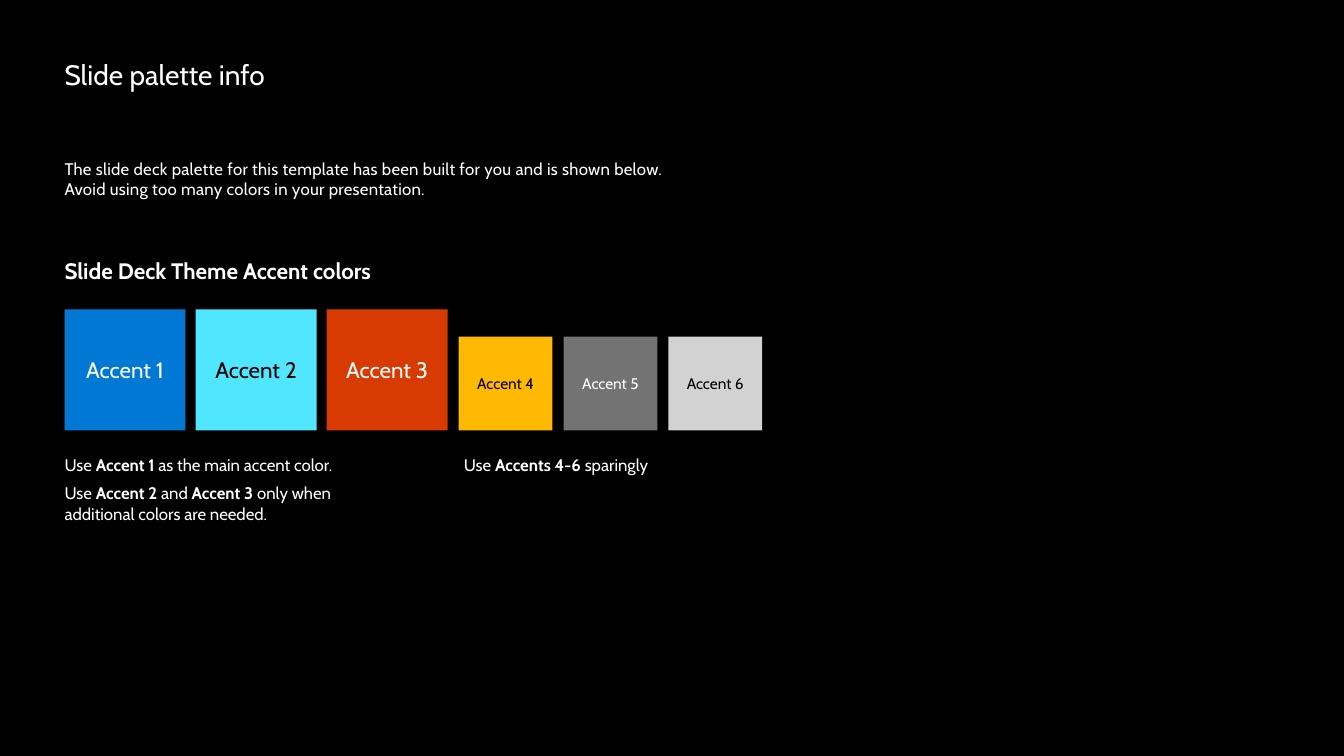
from pptx import Presentation
from pptx.dml.color import RGBColor
from pptx.enum.shapes import MSO_SHAPE
from pptx.enum.text import MSO_ANCHOR, PP_ALIGN
from pptx.util import Inches, Pt

FONT = "Cabin"
BLACK = RGBColor(0x00, 0x00, 0x00)
WHITE = RGBColor(0xFF, 0xFF, 0xFF)
BLUE = RGBColor(0x00, 0x78, 0xD4)
CYAN = RGBColor(0x50, 0xE6, 0xFF)
RED = RGBColor(0xD8, 0x3B, 0x01)
YELLOW = RGBColor(0xFF, 0xB9, 0x00)
GRAY = RGBColor(0x73, 0x73, 0x73)
SILVER = RGBColor(0xD2, 0xD2, 0xD2)

LEFT = 0.64
SWATCH_BOTTOM = 4.27
MAIN_SWATCHES = [("Accent 1", BLUE, WHITE), ("Accent 2", CYAN, BLACK), ("Accent 3", RED, WHITE)]
MINOR_SWATCHES = [("Accent 4", YELLOW, BLACK), ("Accent 5", GRAY, WHITE), ("Accent 6", SILVER, BLACK)]


def set_font(p, size, color, bold=None):
    p.font.name = FONT
    p.font.size = Pt(size)
    p.font.color.rgb = color
    p.font.bold = bold


def add_runs(p, text):
    for i, part in enumerate(text.split("**")):
        for j, line in enumerate(part.split("\n")):
            if j:
                p.add_line_break()
            if line:
                r = p.add_run()
                r.text = line
                if i % 2:
                    r.font.bold = True


def add_text(s, left, top, width, height, paragraphs, size=12, bold=None, gap=0, inset_top=0, tracking=None):
    tf = s.shapes.add_textbox(Inches(left), Inches(top), Inches(width), Inches(height)).text_frame
    tf.word_wrap = True
    tf.margin_left = tf.margin_right = tf.margin_bottom = 0
    tf.margin_top = Inches(inset_top)
    for i, text in enumerate(paragraphs):
        p = tf.add_paragraph() if i else tf.paragraphs[0]
        if i and gap:
            p.space_before = Pt(gap)
        add_runs(p, text)
        set_font(p, size, WHITE, bold)
        if tracking:
            for r in p.runs:
                r._r.get_or_add_rPr().set("spc", str(tracking))


def add_swatches(s, swatches, left, side, pitch, size):
    for i, (label, fill, color) in enumerate(swatches):
        sp = s.shapes.add_shape(MSO_SHAPE.RECTANGLE, Inches(left + i * pitch),
                                Inches(SWATCH_BOTTOM - side), Inches(side), Inches(side))
        sp.shadow.inherit = False
        sp.fill.solid()
        sp.fill.fore_color.rgb = fill
        sp.line.fill.background()
        tf = sp.text_frame
        tf.margin_left = tf.margin_right = 0
        tf.vertical_anchor = MSO_ANCHOR.MIDDLE
        p = tf.paragraphs[0]
        p.text = label
        p.alignment = PP_ALIGN.CENTER
        set_font(p, size, color)


def main():
    prs = Presentation()
    prs.slide_width = Inches(13.33)
    prs.slide_height = Inches(7.5)
    s = prs.slides.add_slide(prs.slide_layouts[6])
    s.background.fill.solid()
    s.background.fill.fore_color.rgb = BLACK

    add_text(s, LEFT, 0.5, 6.02, 0.41, ["Slide palette info"], size=20, inset_top=0.07)
    add_text(s, LEFT, 1.57, 10.89, 0.4, [
        "The slide deck palette for this template has been built for you and is shown below.",
        "Avoid using too many colors in your presentation.",
    ], tracking=20)
    add_text(s, LEFT, 2.55, 6.88, 0.27, ["Slide Deck Theme Accent colors"], size=16, bold=True)
    add_swatches(s, MAIN_SWATCHES, LEFT, 1.2, 1.3, 16)
    add_swatches(s, MINOR_SWATCHES, 4.55, 0.93, 1.04, 11)
    add_text(s, LEFT, 4.51, 3.81, 0.69, [
        "Use **Accent 1 **as the main accent color.",
        "Use **Accent 2** and **Accent 3** only when \nadditional colors are needed.",
    ], gap=6)
    add_text(s, 4.6, 4.51, 3.04, 0.2, ["Use **Accents 4-6 **sparingly"])
    prs.save("out.pptx")


if __name__ == "__main__":
    main()
